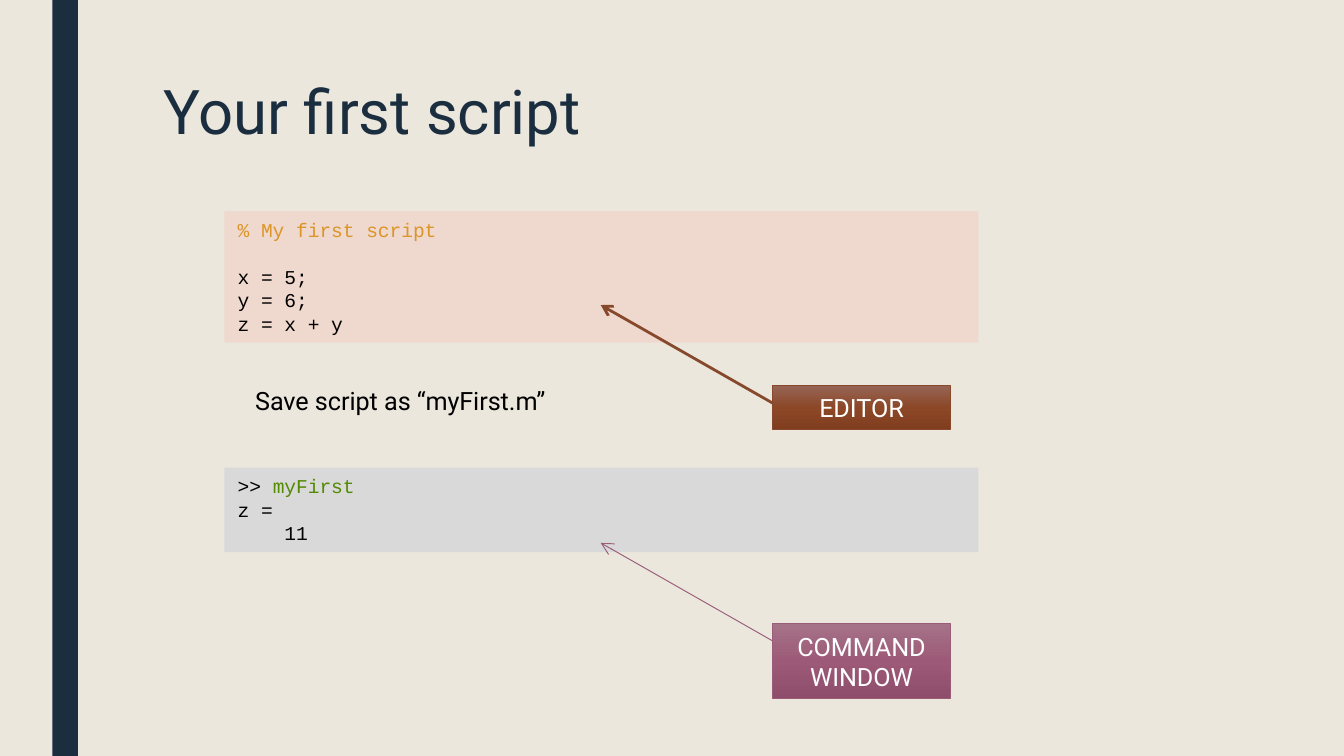
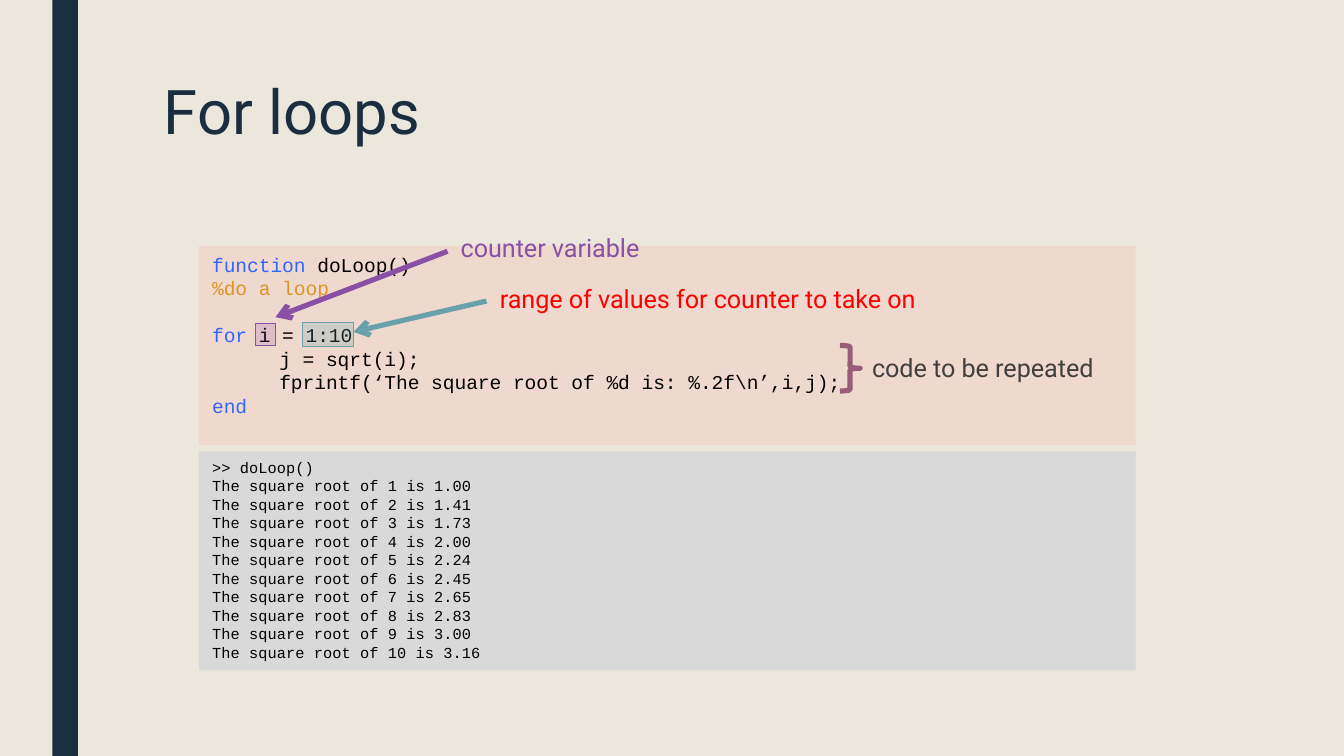
import dataclasses
import math

import lxml.etree
import pptx
import pptx.dml.color
import pptx.enum.shapes
import pptx.enum.text
import pptx.oxml
import pptx.oxml.ns
import pptx.util

Inches = pptx.util.Inches
Pt = pptx.util.Pt
rgb = pptx.dml.color.RGBColor.from_string
qn = pptx.oxml.ns.qn
shape_kind = pptx.enum.shapes.MSO_SHAPE
anchor_kind = pptx.enum.text.MSO_ANCHOR


@dataclasses.dataclass(frozen=True)
class Theme:
    paper: str = "EBE7DD"
    navy: str = "1A2E40"
    editor_fill: str = "EFD8CD"
    console_fill: str = "D9D9D9"
    black: str = "000000"
    white: str = "FFFFFF"
    grey: str = "404040"
    red: str = "FF0000"
    comment: str = "DC9528"
    keyword: str = "3366FF"
    command: str = "528A02"
    brown: str = "87492C"
    plum: str = "9A5D78"
    purple: str = "8950A6"
    teal: str = "69A1AB"
    body_font: str = "Roboto"
    code_font: str = "Courier New"
    title_size: float = 33
    label_size: float = 13.5
    code_size: float = 10.5
    output_size: float = 8.25
    code_pitch: float = 12.6
    thin: float = 0.5
    thick: float = 2.75


theme = Theme()


def add_box(page, bounds, lines=(), fill=None, line=None, width=theme.thin,
            kind=shape_kind.RECTANGLE, font=theme.body_font, size=theme.label_size,
            align=None, anchor=anchor_kind.TOP):
    """Add a shape, or a text box when it has neither fill nor line.

    The fill is a colour or (angle, [(position, colour, opacity)]). Each line
    is a list of (text, colour) spans; an empty one leaves a gap.
    """
    place = [Inches(length) for length in bounds]
    if fill or line:
        box = page.shapes.add_shape(kind, *place)
        box.shadow.inherit = False
    else:
        box = page.shapes.add_textbox(*place)
    if isinstance(fill, tuple):
        angle, stops = fill
        box.fill.gradient()
        gradient = box._element.spPr.find(qn("a:gradFill"))
        gradient.find(qn("a:lin")).set("ang", str(angle * 60000))
        stop_list = gradient.find(qn("a:gsLst"))
        for stop in list(stop_list):
            stop_list.remove(stop)
        for position, colour, opacity in stops:
            stop = lxml.etree.SubElement(stop_list, qn("a:gs"), pos=str(position * 1000))
            tint = lxml.etree.SubElement(stop, qn("a:srgbClr"), val=colour)
            if opacity < 100:
                lxml.etree.SubElement(tint, qn("a:alpha"), val=str(opacity * 1000))
    elif fill:
        box.fill.solid()
        box.fill.fore_color.rgb = rgb(fill)
    else:
        box.fill.background()
    if line:
        box.line.color.rgb = rgb(line)
        box.line.width = Pt(width)
    else:
        box.line.fill.background()

    frame = box.text_frame
    frame.word_wrap = True
    frame.vertical_anchor = anchor
    gap = False
    para = frame.paragraphs[0]
    for number, spans in enumerate(lines):
        if not spans:
            gap = True
            continue
        if number:
            para = frame.add_paragraph()
        para.alignment = align or pptx.enum.text.PP_ALIGN.LEFT
        if gap:
            para.space_before = Pt(theme.code_pitch)
            gap = False
        if spans[0][0].startswith("\t"):
            tabs = lxml.etree.SubElement(para._p.get_or_add_pPr(), qn("a:tabLst"))
            lxml.etree.SubElement(tabs, qn("a:tab"), pos=str(Inches(0.5)), algn="l")
        para.font.name = font
        para.font.size = Pt(size)
        para.font.color.rgb = rgb(spans[0][1])
        for text, colour in spans:
            span = para.add_run()
            span.text = text
            if len(spans) > 1:
                span.font.color.rgb = rgb(colour)
    return box


def add_arrow(page, start, end, colour, width):
    arrow = page.shapes.add_connector(
        pptx.enum.shapes.MSO_CONNECTOR.STRAIGHT, *map(Inches, (*start, *end)))
    arrow.line.color.rgb = rgb(colour)
    arrow.line.width = Pt(width)
    lxml.etree.SubElement(arrow.line._get_or_add_ln(), qn("a:tailEnd"), type="arrow")
    lxml.etree.SubElement(arrow._element.spPr, qn("a:effectLst"))


deck = pptx.Presentation()
deck.slide_width = Inches(10)
deck.slide_height = Inches(10 * 9 / 16)
background = deck.slide_master.background.fill
background.solid()
background.fore_color.rgb = rgb(theme.paper)

pages = []
for title in ("Your first script", "For loops"):
    page = deck.slides.add_slide(deck.slide_layouts[6])
    add_box(page, (0.39, 0, 0.19, deck.slide_height.inches), fill=theme.navy)
    heading = add_box(page, (1.12, 0.56, 7.88, 1.22), [[(title, theme.navy)]],
                      size=theme.title_size)
    heading.text_frame.paragraphs[0].line_spacing = 0.89
    pages.append(page)
script_page, loop_page = pages

# Your first script
add_box(script_page, (1.67, 1.57, 5.61, 0.98), [
    [("% My first script", theme.comment)],
    [],
    [("x = 5;", theme.black)],
    [("y = 6;", theme.black)],
    [("z = x + y", theme.black)],
], fill=theme.editor_fill, font=theme.code_font, size=theme.code_size)
add_box(script_page, (1.67, 3.48, 5.61, 0.63), [
    [(">> ", theme.black), ("myFirst", theme.command)],
    [("z =", theme.black)],
    [("    11", theme.black)],
], fill=theme.console_fill, font=theme.code_font, size=theme.code_size)
add_box(script_page, (1.8, 2.82, 3.11, 0.33), [[("Save script as “myFirst.m”", theme.black)]])

for name, top, height, colour, shades, width in (
    ("EDITOR", 2.87, 0.33, theme.brown, ("966454", "8C4727", "803E1F"), 1.5),
    ("COMMAND WINDOW", 4.64, 0.56, theme.plum, ("A57388", "9D5A78", "8E4D6A"), theme.thin),
):
    add_arrow(script_page, (5.75, top + 0.13), (4.47, top - 0.6), colour, width)
    stops = [(50 * step, shade, 100) for step, shade in enumerate(shades)]
    add_box(script_page, (5.75, top, 1.32, height), [[(name, theme.white)]],
            fill=(90, stops), line=colour, align=pptx.enum.text.PP_ALIGN.CENTER,
            anchor=anchor_kind.MIDDLE)

# For loops
add_box(loop_page, (1.48, 1.83, 6.97, 1.48), [
    [("function ", theme.keyword), ("doLoop()", theme.black)],
    [("%do a loop", theme.comment)],
    [],
    [("for ", theme.keyword), ("i = 1:10", theme.black)],
    [("\tj = sqrt(i);", theme.black)],
    [("\tfprintf(‘The square root of %d is: %.2f\\n’,i,j);", theme.black)],
    [("end", theme.keyword)],
], fill=theme.editor_fill, font=theme.code_font, size=theme.code_size)
output = [">> doLoop()"]
output += [f"The square root of {i} is {math.sqrt(i):.2f}" for i in range(1, 11)]
add_box(loop_page, (1.48, 3.36, 6.97, 1.63), [[(text, theme.black)] for text in output],
        fill=theme.console_fill, font=theme.code_font, size=theme.output_size)

for bounds, colour, shades, opacity in (
    ((1.9, 2.41, 0.15, 0.16), theme.purple, ("8146A3", "903BBC"), 16),
    ((2.25, 2.4, 0.38, 0.18), theme.teal, ("5A98A3", "58ACBB"), 21),
):
    stops = [(100 * step, shade, opacity) for step, shade in enumerate(shades)]
    add_box(loop_page, bounds, fill=(270, stops), line=colour)

for text, left, top, width, colour in (
    ("counter variable", 3.33, 1.68, 1.84, theme.purple),
    ("range of values for counter to take on", 3.62, 2.06, 3.69, theme.red),
    ("code to be repeated", 6.39, 2.57, 1.87, theme.grey),
):
    add_box(loop_page, (left, top, width, 0.33), [[(text, colour)]])

add_arrow(loop_page, (3.33, 1.87), (2.05, 2.36), theme.purple, theme.thick)
add_arrow(loop_page, (3.62, 2.24), (2.63, 2.47), theme.teal, theme.thick)
add_box(loop_page, (6.25, 2.57, 0.15, 0.34), line=theme.plum, width=theme.thick,
        kind=shape_kind.RIGHT_BRACE)

deck.save("out.pptx")
